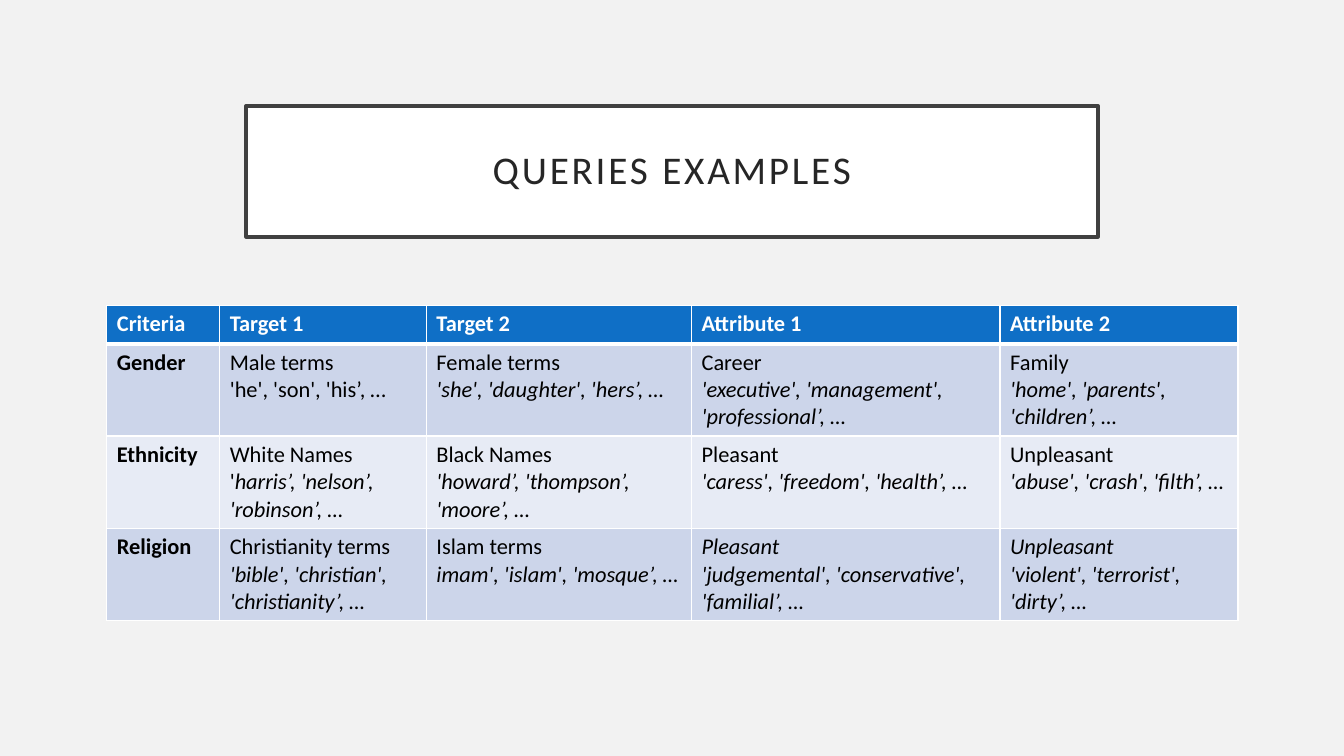
from dataclasses import dataclass

from lxml.etree import SubElement
from pptx import Presentation
from pptx.dml.color import RGBColor
from pptx.enum.text import MSO_ANCHOR, MSO_AUTO_SIZE, PP_ALIGN
from pptx.oxml.ns import qn
from pptx.util import Inches, Pt

FONT = "Calibri"
SIDES = ("lnL", "lnR", "lnT", "lnB")
HEADS = ("Criteria", "Target 1", "Target 2", "Attribute 1", "Attribute 2")
WIDTHS = (1.12, 2.05, 2.63, 3.06, 2.36)
HEIGHTS = (0.38, 0.91, 0.91, 0.91)
BANDS = ("CCD5EA", "E7EBF5")


@dataclass(frozen=True)
class Term:
    """A group of words, with its label and its slant."""

    label: str
    words: str
    lead: str = ""
    slant_label: bool = False
    slant_words: bool = True


@dataclass(frozen=True)
class Query:
    """One row of the table."""

    name: str
    terms: tuple[Term, ...]


QUERIES = (
    Query("Gender", (
        Term("Male terms", "'he', 'son', 'his’, …", slant_words=False),
        Term("Female terms", "'she', 'daughter', 'hers’, …"),
        Term("Career", "'executive', 'management', 'professional’, …"),
        Term("Family", "'home', 'parents', 'children’, …"),
    )),
    Query("Ethnicity", (
        Term("White Names", "harris’, 'nelson’, 'robinson’, …", lead="'"),
        Term("Black Names", "'howard’, 'thompson’, 'moore’, …"),
        Term("Pleasant", "'caress', 'freedom', 'health’, …"),
        Term("Unpleasant", "'abuse', 'crash', 'filth’, …"),
    )),
    Query("Religion", (
        Term("Christianity terms", "'bible', 'christian', 'christianity’, …"),
        Term("Islam terms", "imam', 'islam', 'mosque’, …"),
        Term("Pleasant", "'judgemental', 'conservative', 'familial’, …", slant_label=True),
        Term("Unpleasant", "'violent', 'terrorist', 'dirty’, …", slant_label=True),
    )),
)


def paint(fill, color: str) -> None:
    """Make a fill solid in one colour."""
    fill.solid()
    fill.fore_color.rgb = RGBColor.from_string(color)


def assign(item, values: dict) -> None:
    """Set each named attribute of an item."""
    for name, value in values.items():
        setattr(item, name, value)


def write(para, text: str, color: str, size: float = 16, **look):
    """Add a formatted run to a paragraph."""
    run = para.add_run()
    run.text = text
    assign(run.font, {"name": FONT, "size": Pt(size), **look})
    paint(run.font.fill, color)
    return run


def frame(cell, row: int, color: str) -> None:
    """Give a cell its white borders, margins and fill."""
    props = cell._tc.get_or_add_tcPr()
    for side in SIDES:
        thick = (row, side) in ((0, "lnB"), (1, "lnT"))
        line = SubElement(props, qn(f"a:{side}"), w=str(Pt(3 if thick else 1)))
        SubElement(SubElement(line, qn("a:solidFill")), qn("a:srgbClr"), val="FFFFFF")
    assign(cell, {
        "margin_left": Inches(0.1), "margin_right": Inches(0.1),
        "margin_top": Inches(0.05), "margin_bottom": Inches(0.05),
    })
    paint(cell.fill, color)


def add_title(slide) -> None:
    """Format the boxed title."""
    title = slide.shapes.title
    assign(title, {
        "left": Inches(2.44), "top": Inches(1.05),
        "width": Inches(8.45), "height": Inches(1.3),
    })
    paint(title.fill, "FFFFFF")
    paint(title.line.fill, "404040")
    title.line.width = Pt(2.5)
    text = title.text_frame
    assign(text, {
        "word_wrap": True, "auto_size": MSO_AUTO_SIZE.NONE,
        "vertical_anchor": MSO_ANCHOR.MIDDLE,
        **{f"margin_{side}": Inches(0.2) for side in ("left", "right", "top", "bottom")},
    })
    para = text.paragraphs[0]
    assign(para, {"alignment": PP_ALIGN.CENTER, "line_spacing": 0.9})
    run = write(para, "QUERIES EXAMPLES", "262626", 28)
    run.font._element.set("spc", "200")


def add_term(cell, term: Term) -> None:
    """Write a label with its words below."""
    text = cell.text_frame
    write(text.paragraphs[0], term.label, "000000", bold=False, italic=term.slant_label)
    para = text.add_paragraph()
    if term.lead:
        write(para, term.lead, "000000", bold=False, italic=False)
    write(para, term.words, "000000", bold=False, italic=term.slant_words)


def add_grid(slide) -> None:
    """Draw the table of queries."""
    table = slide.shapes.add_table(
        len(HEIGHTS), len(WIDTHS), Inches(1.06), Inches(3.03),
        Inches(sum(WIDTHS)), Inches(sum(HEIGHTS)),
    ).table
    for col, width in zip(table.columns, WIDTHS):
        col.width = Inches(width)
    for row, height in zip(table.rows, HEIGHTS):
        row.height = Inches(height)
    for col, head in enumerate(HEADS):
        cell = table.cell(0, col)
        frame(cell, 0, "0F6FC6")
        write(cell.text_frame.paragraphs[0], head, "FFFFFF", bold=True)
    for row, query in enumerate(QUERIES, 1):
        for col in range(len(HEADS)):
            frame(table.cell(row, col), row, BANDS[(row - 1) % 2])
        name = table.cell(row, 0).text_frame.paragraphs[0]
        write(name, query.name, "000000", bold=True)
        for col, term in enumerate(query.terms, 1):
            add_term(table.cell(row, col), term)


def main() -> None:
    """Build and save the slide."""
    deck = Presentation()
    assign(deck, {"slide_width": Inches(13.33), "slide_height": Inches(7.5)})
    slide = deck.slides.add_slide(deck.slide_layouts[5])
    paint(slide.background.fill, "F2F2F2")
    add_title(slide)
    add_grid(slide)
    deck.save("out.pptx")


if __name__ == "__main__":
    main()
